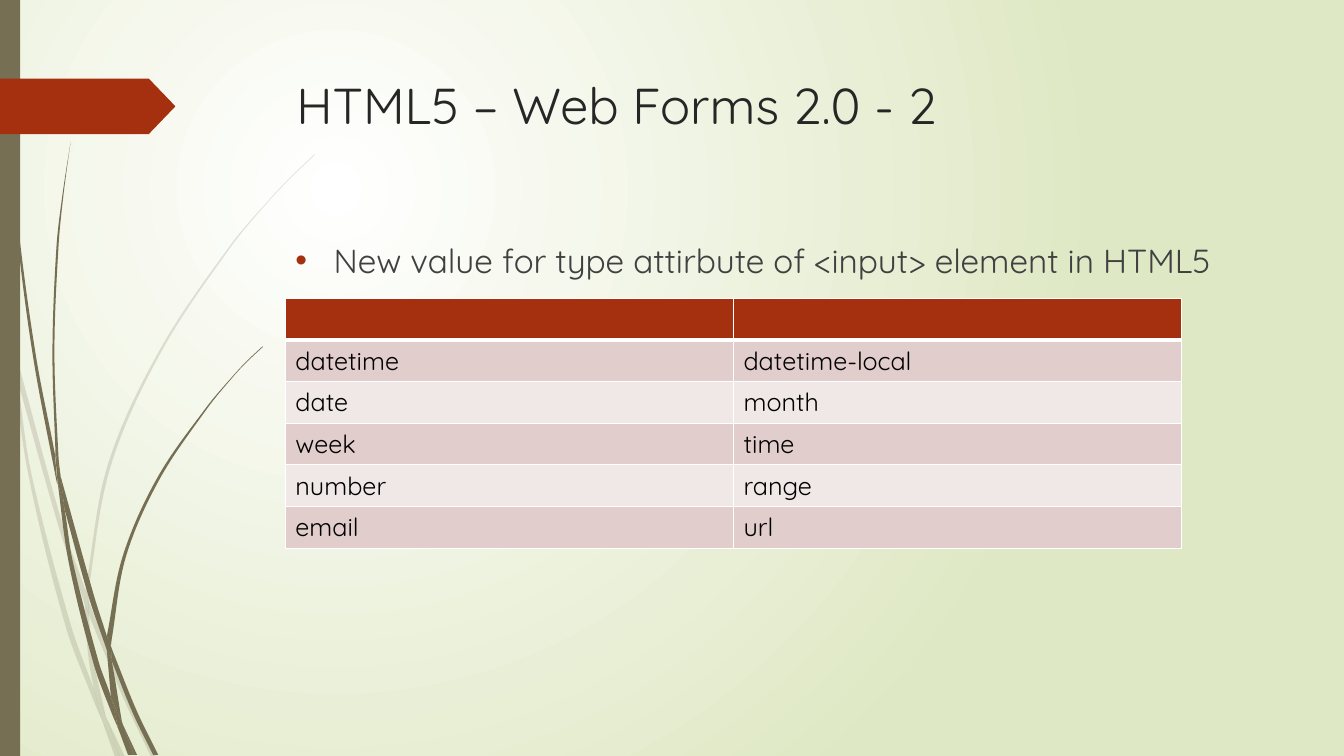
import pptx
import pptx.util
import pptx.dml.color
import pptx.enum.shapes
import pptx.oxml
import pptx.oxml.ns

RGB = pptx.dml.color.RGBColor
RUST, OLIVE = RGB(0xA5, 0x30, 0x10), RGB(0x76, 0x6F, 0x54)
WHITE, SAGE = RGB(0xFF, 0xFF, 0xFF), RGB(0xDF, 0xE8, 0xC4)
TITLE_INK, BODY_INK, BLACK = RGB(0x26, 0x26, 0x26), RGB(0x40, 0x40, 0x40), RGB(0, 0, 0)
BANDS = RGB(0xE1, 0xCD, 0xCC), RGB(0xF0, 0xE8, 0xE7)
FONT = "Quicksand"

# The slide is a grid of 1333 columns by 750 rows
UNIT = pptx.util.Inches(0.01)
COLS, ROWS = 1333, 750
LEFT = 283
NS = pptx.oxml.ns.nsdecls("a")

# Each piece of grass has two smooth edges, given as "column,row" points
PALE_GRASS = """
11,350 9,322 0,282 | 0,299 10,344
14,345 62,520 85,586 | 84,599 58,522 17,376
88,596 92,607 127,692 155,751 | 150,751 123,694 88,610
105,711 124,751 | 119,751
11,350 17,376 31,469 70,619 93,683 | 101,714 92,693 65,621 28,470 11,350
84,599 88,610 91,646 105,711 | 96,692 93,683 87,646 84,599
85,586 85,584 107,461 158,348 228,244 268,197 289,175 312,153 | 312,154 290,175 268,198 229,245 160,349 110,462 88,584 88,596
101,714 119,751 | 114,751
85,586 88,596 88,610 | 84,599
93,683 96,692 105,711 119,751 | 101,714 99,707
"""
DARK_GRASS = """
3,0 4,48 7,110 17,233 33,355 56,477 57,481 | 55,457 55,453 36,355 19,232 8,109 5,48 4,0
60,472 93,590 106,631 | 106,645 88,592 64,505
110,641 113,649 136,706 157,749 | 152,749 132,708 111,656
57,477 64,505 72,556 98,657 110,691 116,717 | 117,722 111,708 93,659 68,557 57,477
60,472 58,453 54,349 58,245 63,193 70,141 | 70,141 62,193 56,245 52,349 55,449
122,719 136,749 | 133,749
55,449 60,472 64,505 | 57,477 55,453
106,631 122,551 156,474 204,405 231,373 245,358 260,344 | 261,344 245,359 231,374 205,406 158,476 125,552 111,633 110,641
117,722 131,749 | 127,749
106,645 109,651 111,656 121,716 122,719 | 116,706 110,691
106,631 110,641 111,656 | 109,651 106,645
110,691 116,706 122,719 133,749 | 130,749 117,722 116,717
"""


def curve_controls(edge):
    """Return two Bezier control points for each step along an edge of complex points."""
    chords = [b - a for a, b in zip([edge[0], *edge], [*edge[1:], edge[-1]])]
    slopes = [c / abs(c) if c else 0 for c in chords]
    return [(a + u * abs(b - a) / 3, b - v * abs(b - a) / 3)
            for a, b, u, v in zip(edge, edge[1:], slopes, slopes[1:])]


def paint(sp, color):
    sp.shadow.inherit = False
    sp.fill.solid()
    sp.fill.fore_color.rgb = color
    sp.line.fill.background()


prs = pptx.Presentation()
prs.slide_width, prs.slide_height = COLS * UNIT, ROWS * UNIT
s = prs.slides.add_slide(prs.slide_layouts[6])

# Background: white glow turning sage
fill = s.background.fill
fill.gradient()
for stop, color, position in zip(fill.gradient_stops, (WHITE, SAGE), (0, 1)):
    stop.color.rgb = color
    stop.position = position
grad = s.background.fill._fill._gradFill
grad.replace(grad.find(pptx.oxml.ns.qn("a:lin")), pptx.oxml.parse_xml(
    f'<a:path {NS} path="circle"><a:fillToRect l="50000" t="50000" r="100000" b="100000"/></a:path>'))

# Grass
for grass, alpha in ((PALE_GRASS, 20), (DARK_GRASS, 100)):
    for piece in grass.strip().splitlines():
        edges = [[complex(*map(int, point.split(","))) * UNIT for point in edge.split()]
                 for edge in piece.split("|")]
        outline = [(int(z.real), int(z.imag)) for z in edges[0] + edges[1]]
        builder = s.shapes.build_freeform(*outline[0])
        builder.add_line_segments(outline[1:], close=True)
        sp = builder.convert_to_shape()
        paint(sp, OLIVE)
        if alpha < 100:
            sp._element.spPr.find(".//" + pptx.oxml.ns.qn("a:srgbClr")).append(
                pptx.oxml.parse_xml(f'<a:alpha {NS} val="{alpha * 1000}"/>'))

        # Bend every straight step except the one that joins the two edges
        controls = curve_controls(edges[0]) + [None] + curve_controls(edges[1])
        steps = sp._element.spPr.findall(".//" + pptx.oxml.ns.qn("a:lnTo"))
        for step, pair in zip(steps, controls):
            if pair:
                step.tag = pptx.oxml.ns.qn("a:cubicBezTo")
                for k, z in enumerate(pair):
                    step.insert(k, pptx.oxml.parse_xml(
                        f'<a:pt {NS} x="{round(z.real) - sp.left}" y="{round(z.imag) - sp.top}"/>'))

# Side bar and page arrow
SHAPE = pptx.enum.shapes.MSO_SHAPE
sp = s.shapes.add_shape(SHAPE.RECTANGLE, 0, 0, 20 * UNIT, ROWS * UNIT)
paint(sp, OLIVE)
sp = s.shapes.add_shape(SHAPE.PENTAGON, 0, 78 * UNIT, 174 * UNIT, 55 * UNIT)
sp.adjustments[0] = 0.48
paint(sp, RUST)

# Title and bullet
for text, left, top, height, size, color in (
        ("HTML5 – Web Forms 2.0 - 2", LEFT + 1, 69, 140, 36, TITLE_INK),
        ("New value for type attirbute of <input> element in HTML5",
         LEFT, 233, 62, 23.8, BODY_INK)):
    sp = s.shapes.add_textbox(left * UNIT, top * UNIT, 975 * UNIT, height * UNIT)
    tf = sp.text_frame
    tf.word_wrap = True
    p = tf.paragraphs[0]
    p.text = text
    font = p.runs[0].font
    font.name, font.size, font.color.rgb = FONT, pptx.util.Pt(size), color
p.space_before = pptx.util.Pt(10)
pPr = p._p.get_or_add_pPr()
pPr.set("marL", str(38 * UNIT))
pPr.set("indent", str(-38 * UNIT))
for bullet in (f'<a:buClr {NS}><a:srgbClr val="{RUST}"/></a:buClr>',
               f'<a:buFont {NS} typeface="Arial"/>', f'<a:buChar {NS} char="•"/>'):
    pPr.append(pptx.oxml.parse_xml(bullet))

# Table of input types
INPUT_TYPES = [("", ""), ("datetime", "datetime-local"), ("date", "month"),
               ("week", "time"), ("number", "range"), ("email", "url")]
table = s.shapes.add_table(len(INPUT_TYPES), 2, LEFT * UNIT, 296 * UNIT,
                           889 * UNIT, 248 * UNIT).table
for i, row in enumerate(INPUT_TYPES):
    for j, text in enumerate(row):
        cell = table.cell(i, j)
        cell.fill.solid()
        cell.fill.fore_color.rgb = BANDS[(i - 1) % 2] if i else RUST
        p = cell.text_frame.paragraphs[0]
        p.text = text
        for r in p.runs:
            r.font.name, r.font.size, r.font.color.rgb = FONT, pptx.util.Pt(18), BLACK
        widths = {"L": 1, "R": 1, "T": 3 if i == 1 else 1, "B": 1 if i else 3}
        for k, (side, width) in enumerate(widths.items()):
            cell._tc.get_or_add_tcPr().insert(k, pptx.oxml.parse_xml(
                f'<a:ln{side} {NS} w="{pptx.util.Pt(width)}"><a:solidFill>'
                f'<a:srgbClr val="{WHITE}"/></a:solidFill></a:ln{side}>'))

prs.save("out.pptx")
